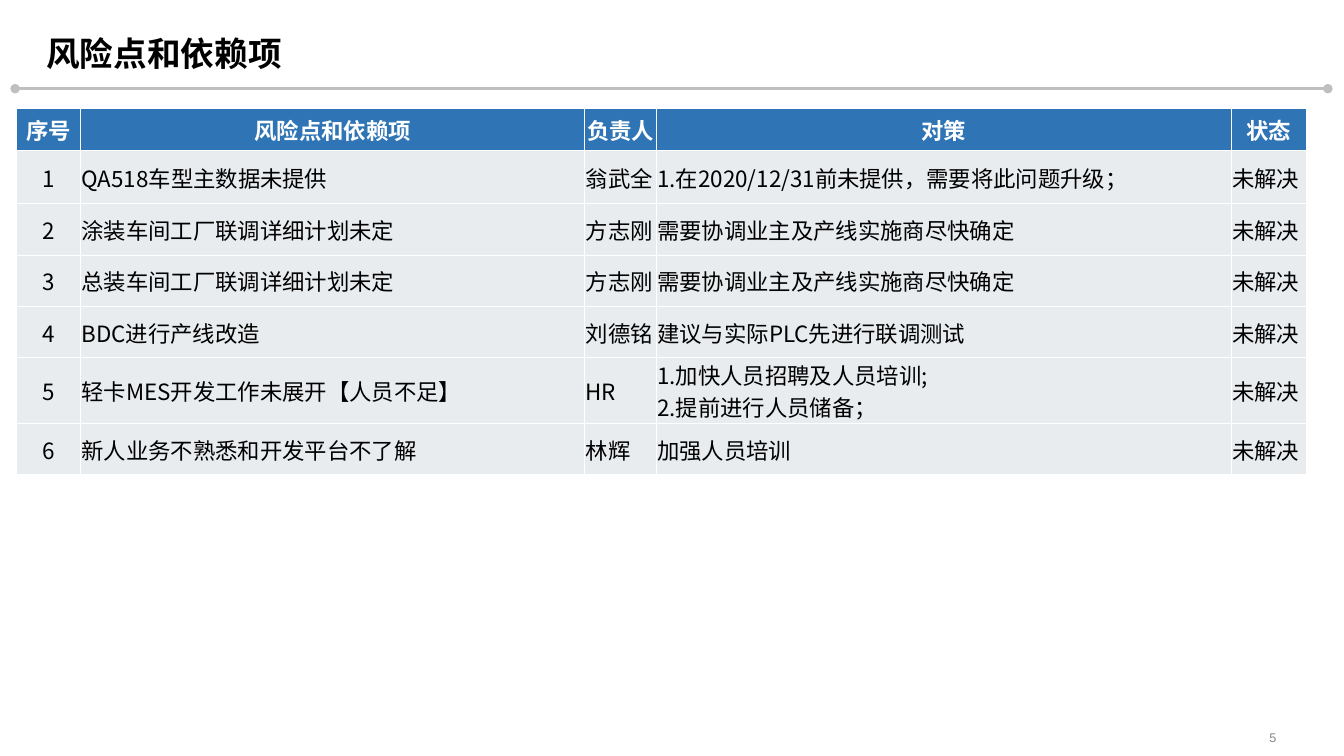
from dataclasses import dataclass

from lxml import etree
from pptx import Presentation
from pptx.dml.color import RGBColor
from pptx.enum.shapes import MSO_CONNECTOR
from pptx.enum.text import MSO_ANCHOR, PP_ALIGN
from pptx.oxml.ns import qn
from pptx.slide import Slide
from pptx.table import _Cell
from pptx.text.text import _Paragraph
from pptx.util import Inches, Pt

STRAIGHT = MSO_CONNECTOR.STRAIGHT
MIDDLE, BOTTOM = MSO_ANCHOR.MIDDLE, MSO_ANCHOR.BOTTOM
LEFT, CENTER, RIGHT = PP_ALIGN.LEFT, PP_ALIGN.CENTER, PP_ALIGN.RIGHT


@dataclass(frozen=True)
class TextStyle:
    size: float
    color: str
    bold: bool = False
    font: str = "Noto Sans CJK SC"


@dataclass(frozen=True)
class Theme:
    title: TextStyle = TextStyle(24, "000000", True)
    header: TextStyle = TextStyle(16, "FFFFFF", True)
    body: TextStyle = TextStyle(16, "000000")
    page_number: TextStyle = TextStyle(9, "858789", font="Arial")
    header_fill: str = "2F75B5"
    body_fill: str = "E9ECEF"
    border: str = "FFFFFF"
    rule: str = "BFBFBF"


@dataclass(frozen=True)
class Risk:
    name: str
    owner: str
    action: str
    status: str = "未解决"


@dataclass(frozen=True)
class TextArea:
    text: str
    left: float
    top: float
    width: float
    height: float
    style: TextStyle
    anchor: MSO_ANCHOR
    align: PP_ALIGN
    bottom_inset: float = 0


THEME = Theme()
TEXT_AREAS = [
    TextArea("5", 11.88, 7.18, 0.78, 0.27, THEME.page_number, MIDDLE, RIGHT),
    TextArea("风险点和依赖项", 0.46, 0, 12.41, 0.81, THEME.title, BOTTOM, LEFT, 0.08),
]
HEADINGS = ["序号", "风险点和依赖项", "负责人", "对策", "状态"]
RISKS = [
    Risk("QA518车型主数据未提供", "翁武全", "1.在2020/12/31前未提供，需要将此问题升级；"),
    Risk("涂装车间工厂联调详细计划未定", "方志刚", "需要协调业主及产线实施商尽快确定"),
    Risk("总装车间工厂联调详细计划未定", "方志刚", "需要协调业主及产线实施商尽快确定"),
    Risk("BDC进行产线改造", "刘德铭", "建议与实际PLC先进行联调测试"),
    Risk("轻卡MES开发工作未展开【人员不足】", "HR", "1.加快人员招聘及人员培训;\n2.提前进行人员储备；"),
    Risk("新人业务不熟悉和开发平台不了解", "林辉", "加强人员培训"),
]
COLUMN_WIDTHS = [0.64, 5, 0.71, 5.7, 0.75]
ROW_HEIGHTS = [0.42, 0.53, 0.51, 0.51, 0.51, 0.65, 0.51, 0.37]


def style_paragraph(para: _Paragraph, style: TextStyle, align: PP_ALIGN) -> None:
    para.alignment = align
    font = para.font
    font.size = Pt(style.size)
    font.bold = style.bold
    font.color.rgb = RGBColor.from_string(style.color)
    font.name = style.font
    defaults = para._p.pPr.find(qn("a:defRPr"))
    etree.SubElement(defaults, qn("a:ea"), typeface=style.font)


def add_text(page: Slide, area: TextArea) -> None:
    box = page.shapes.add_textbox(
        Inches(area.left), Inches(area.top), Inches(area.width), Inches(area.height)
    )
    frame = box.text_frame
    frame.word_wrap = True
    frame.vertical_anchor = area.anchor
    frame.margin_left = frame.margin_right = frame.margin_top = 0
    frame.margin_bottom = Inches(area.bottom_inset)
    frame.text = area.text
    style_paragraph(frame.paragraphs[0], area.style, area.align)


def add_title_rule(page: Slide) -> None:
    rule = page.shapes.add_connector(
        STRAIGHT, Inches(0.15), Inches(0.88), Inches(13.17), Inches(0.88)
    )
    rule.line.color.rgb = RGBColor.from_string(THEME.rule)
    rule.line.width = Pt(2.25)
    properties = rule._element.spPr
    outline = properties.find(qn("a:ln"))
    for end in ("a:headEnd", "a:tailEnd"):
        etree.SubElement(outline, qn(end), type="oval")
    etree.SubElement(properties, qn("a:effectLst"))


def add_borders(cell: _Cell) -> None:
    properties = cell._tc.get_or_add_tcPr()
    for side in ("a:lnL", "a:lnR", "a:lnT", "a:lnB"):
        border = etree.SubElement(properties, qn(side), w=str(Pt(0.5)))
        fill = etree.SubElement(border, qn("a:solidFill"))
        etree.SubElement(fill, qn("a:srgbClr"), val=THEME.border)


def fill_cell(cell: _Cell, text: str, style: TextStyle, align: PP_ALIGN, fill: str) -> None:
    cell.fill.solid()
    cell.fill.fore_color.rgb = RGBColor.from_string(fill)
    cell.text = text
    for para in cell.text_frame.paragraphs:
        style_paragraph(para, style, align)


def add_risk_table(page: Slide) -> None:
    table = page.shapes.add_table(
        len(ROW_HEIGHTS), len(COLUMN_WIDTHS), Inches(0.16), Inches(1.07),
        Inches(sum(COLUMN_WIDTHS)), Inches(sum(ROW_HEIGHTS)),
    ).table
    table.first_row = table.horz_banding = False
    for column, width in zip(table.columns, COLUMN_WIDTHS):
        column.width = Inches(width)
    for row, height in zip(table.rows, ROW_HEIGHTS):
        row.height = Inches(height)
    for cell in table.iter_cells():
        cell.vertical_anchor = MIDDLE
        cell.margin_left = cell.margin_right = cell.margin_top = Inches(0.01)
        cell.margin_bottom = 0
        add_borders(cell)
        cell.fill.background()
    for column, heading in enumerate(HEADINGS):
        fill_cell(table.cell(0, column), heading, THEME.header, CENTER, THEME.header_fill)
    for number, risk in enumerate(RISKS, start=1):
        values = [str(number), risk.name, risk.owner, risk.action, risk.status]
        for column, value in enumerate(values):
            align = LEFT if column else CENTER
            fill_cell(table.cell(number, column), value, THEME.body, align, THEME.body_fill)


def main() -> None:
    deck = Presentation()
    deck.slide_width, deck.slide_height = Inches(13.33), Inches(7.5)
    page = deck.slides.add_slide(deck.slide_layouts[6])
    add_title_rule(page)
    for area in TEXT_AREAS:
        add_text(page, area)
    add_risk_table(page)
    deck.save("out.pptx")


if __name__ == "__main__":
    main()
